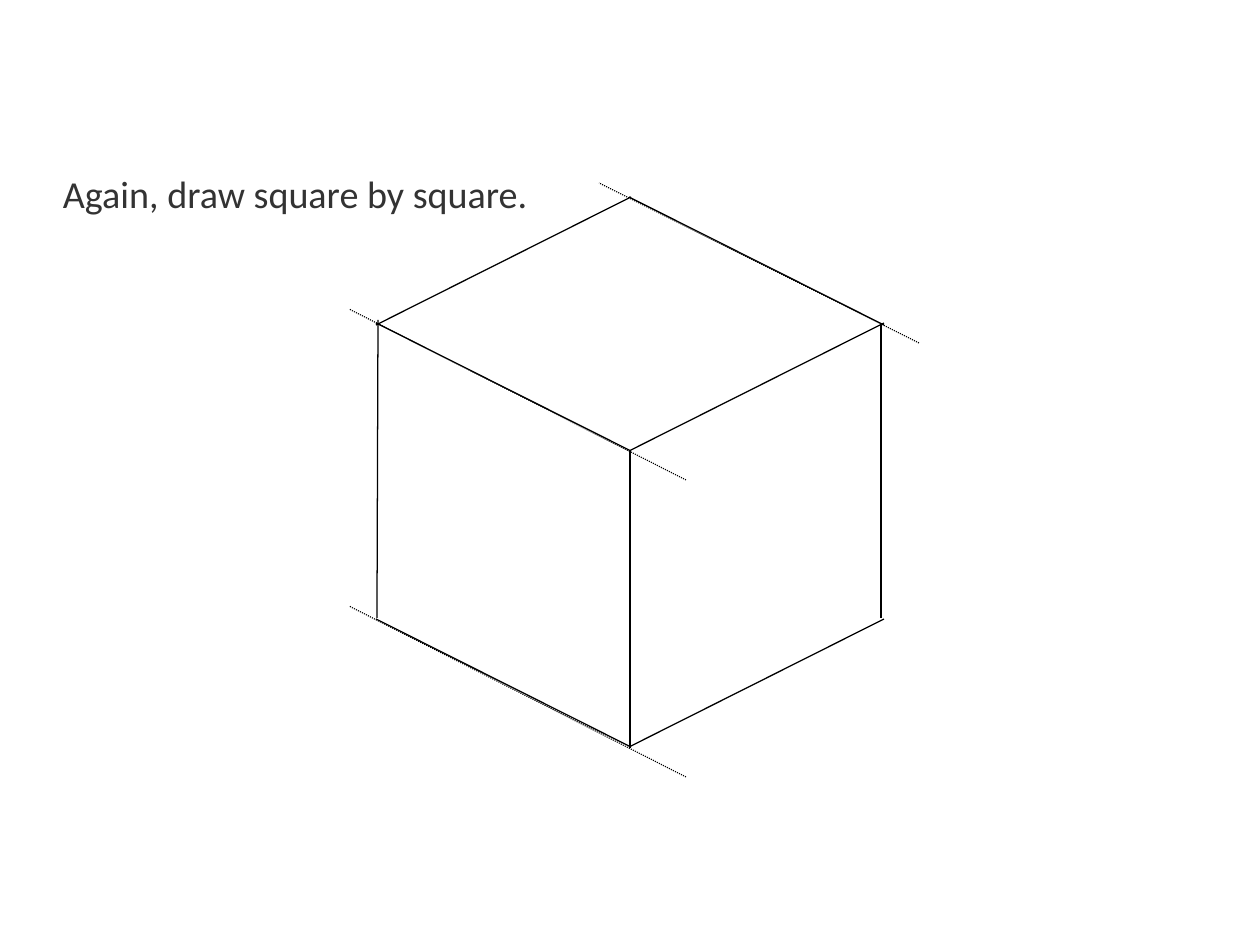
from lxml.etree import SubElement
from pptx import Presentation
from pptx.dml.color import RGBColor
from pptx.enum.dml import MSO_LINE
from pptx.enum.shapes import MSO_CONNECTOR
from pptx.enum.text import MSO_ANCHOR
from pptx.oxml.ns import qn
from pptx.util import Emu, Pt

EMU_PER_PX = 8000
COLORS = {"paper": "FFFFFF", "ink": "000000", "text": "333333"}
FONT = "Calibri"

EDGE_RUN, EDGE_RISE = 255, 128
FALLING_STARTS = [(376, 619), (376, 323), (629, 197)]
RISING_STARTS = [(629, 747), (629, 451), (376, 325)]
UPRIGHTS = [((378, 320), (377, 618)), ((630, 450), (630, 748)), ((881, 325), (881, 618))]
GUIDES = [((686, 480), (349, 309)), ((919, 343), (599, 183)), ((686, 777), (349, 606))]


def px(length):
    return Emu(length * EMU_PER_PX)


def color(name):
    return RGBColor.from_string(COLORS[name])


def write_text(paragraph, text, size, ink="text", line_spacing=0.9, space_after=0):
    paragraph.line_spacing = line_spacing
    paragraph.space_after = Pt(space_after)
    run = paragraph.add_run()
    run.text = text
    run.font.name = FONT
    run.font.size = Pt(size)
    run.font.color.rgb = color(ink)


class CubeSlide:
    def __init__(self, presentation):
        self.slide = presentation.slides.add_slide(presentation.slide_layouts[6])
        background = self.slide.background.fill
        background.solid()
        background.fore_color.rgb = color("paper")

    def line(self, start, end, width=0.79, dash=None):
        connector = self.slide.shapes.add_connector(
            MSO_CONNECTOR.STRAIGHT, *map(px, start + end))
        connector.line.color.rgb = color("ink")
        connector.line.width = Pt(width)
        if dash:
            connector.line.dash_style = dash
        SubElement(connector._element.spPr, qn("a:effectLst"))

    def edge(self, start, rise):
        """Draw a sloping cube edge from its left end."""
        left, top = start
        self.line(start, (left + EDGE_RUN, top + rise))

    def guide(self, start, end):
        self.line(start, end, width=0.71, dash=MSO_LINE.ROUND_DOT)

    def text(self, left, top, width, height, text, **text_format):
        box = self.slide.shapes.add_textbox(*map(px, (left, top, width, height)))
        frame = box.text_frame
        frame.word_wrap = True
        frame.vertical_anchor = MSO_ANCHOR.TOP
        frame.margin_left = frame.margin_right = 0
        frame.margin_top = frame.margin_bottom = 0
        write_text(frame.paragraphs[0], text, **text_format)


def main():
    presentation = Presentation()
    presentation.slide_width, presentation.slide_height = px(1260), px(945)
    cube = CubeSlide(presentation)
    for start in FALLING_STARTS:
        cube.edge(start, EDGE_RISE)
    for start in RISING_STARTS:
        cube.edge(start, -EDGE_RISE)
    for start, end in UPRIGHTS:
        cube.line(start, end)
    for start, end in GUIDES:
        cube.guide(start, end)
    cube.text(63, 176, 1134, 624, "Again, draw square by square.", size=24, space_after=14.1)
    presentation.save("out.pptx")


if __name__ == "__main__":
    main()
